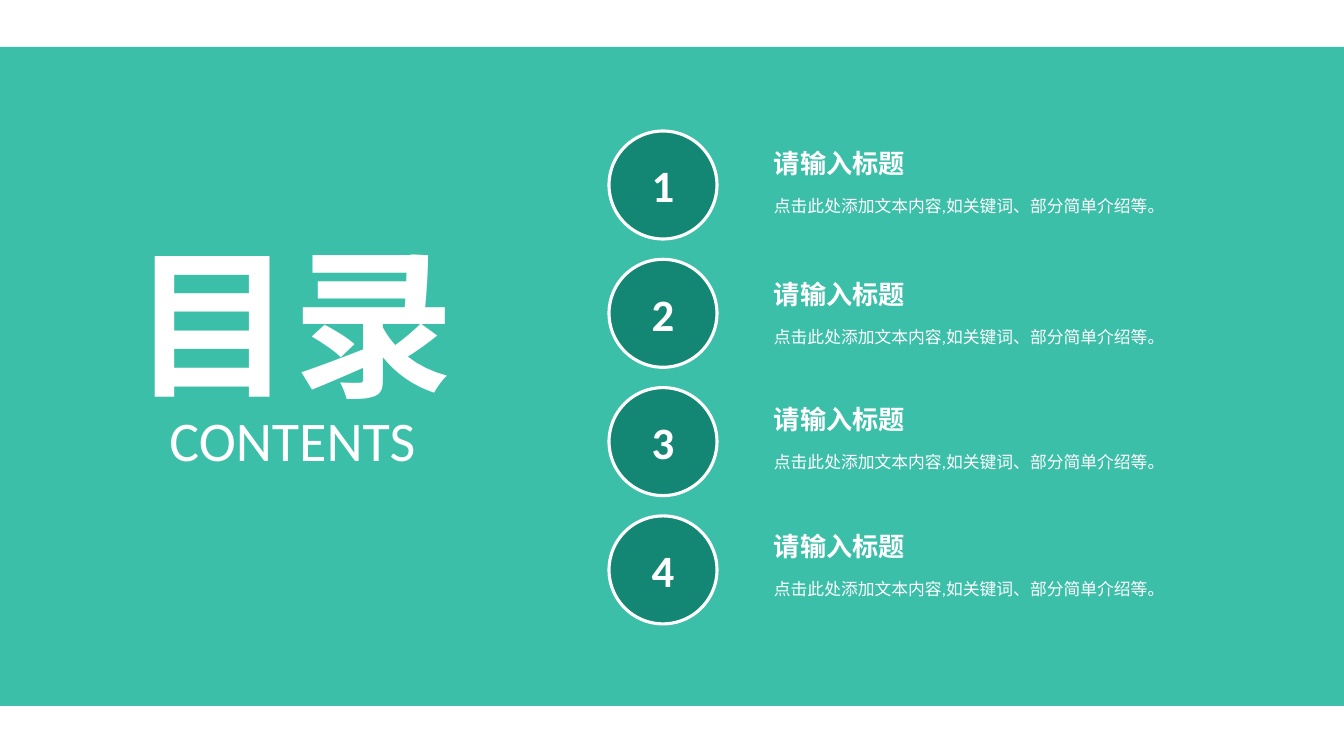
"""Build a contents slide with four numbered entries."""
from lxml import etree
from pptx import Presentation
from pptx.dml.color import RGBColor
from pptx.enum.shapes import MSO_SHAPE
from pptx.enum.text import MSO_ANCHOR, MSO_AUTO_SIZE, PP_ALIGN
from pptx.oxml.ns import qn
from pptx.util import Pt

RECT, OVAL = MSO_SHAPE.RECTANGLE, MSO_SHAPE.OVAL
TOP, MIDDLE = MSO_ANCHOR.TOP, MSO_ANCHOR.MIDDLE
LEFT, CENTER = PP_ALIGN.LEFT, PP_ALIGN.CENTER
NONE, GROW = MSO_AUTO_SIZE.NONE, MSO_AUTO_SIZE.SHAPE_TO_FIT_TEXT
SCALE = 914400 / 100.8
WHITE, GREEN, DARK = "FFFFFF", "19B49B", "138774"


def px(*sizes):
    return [round(size * SCALE) for size in sizes]


def write(shape, text, size, bold=False, align=LEFT, anchor=TOP,
          wrap=False, fit=GROW, space=None):
    frame = shape.text_frame
    frame.text = text
    para = frame.paragraphs[0]
    looks = {
        frame: {"word_wrap": wrap, "auto_size": fit, "vertical_anchor": anchor},
        para: {"alignment": align, "line_spacing": space},
        para.runs[0].font: {"name": "Calibri", "size": Pt(size), "bold": bold},
    }
    for part, values in looks.items():
        for name, value in values.items():
            setattr(part, name, value)
    para.runs[0].font.color.rgb = RGBColor.from_string(WHITE)


deck = Presentation()
deck.slide_width, deck.slide_height = px(1344, 756)
slide = deck.slides.add_slide(deck.slide_layouts[5])
shapes = slide.shapes

band = shapes.add_shape(RECT, *px(0, 47, 1344, 659))
band.shadow.inherit = False
band.fill.solid()
band.fill.fore_color.rgb = RGBColor.from_string(GREEN)
band.line.fill.background()
tint = band.element.spPr.find(qn("a:solidFill"))[0]
etree.SubElement(tint, qn("a:alpha"), val="85000")

title = shapes.title
title.element.addprevious(band.element)
title.left, title.top, title.width, title.height = px(120, 218, 346, 206)
write(title, "目录", 115, bold=True, align=CENTER)
write(shapes.add_textbox(*px(158, 401, 269, 78)), "CONTENTS", 40, align=CENTER)

for index, top in enumerate([142, 273, 398, 525]):
    disc = shapes.add_shape(OVAL, *px(609, 131 + 128.3 * index, 108, 108))
    disc.shadow.inherit = False
    disc.fill.solid()
    disc.fill.fore_color.rgb = RGBColor.from_string(DARK)
    disc.line.color.rgb = RGBColor.from_string(WHITE)
    disc.line.width = Pt(2.25)
    write(disc, str(index + 1), 32, bold=True, align=CENTER, anchor=MIDDLE,
          wrap=True, fit=NONE)
    head = shapes.add_textbox(*px(764, top, 152, 42))
    write(head, "请输入标题", 18.7, bold=True)
    body = shapes.add_textbox(*px(764, top + 43, 426, 34))
    write(body, "点击此处添加文本内容,如关键词、部分简单介绍等。".replace(",", ","),
          12, wrap=True, space=1.3)

deck.save("out.pptx")
